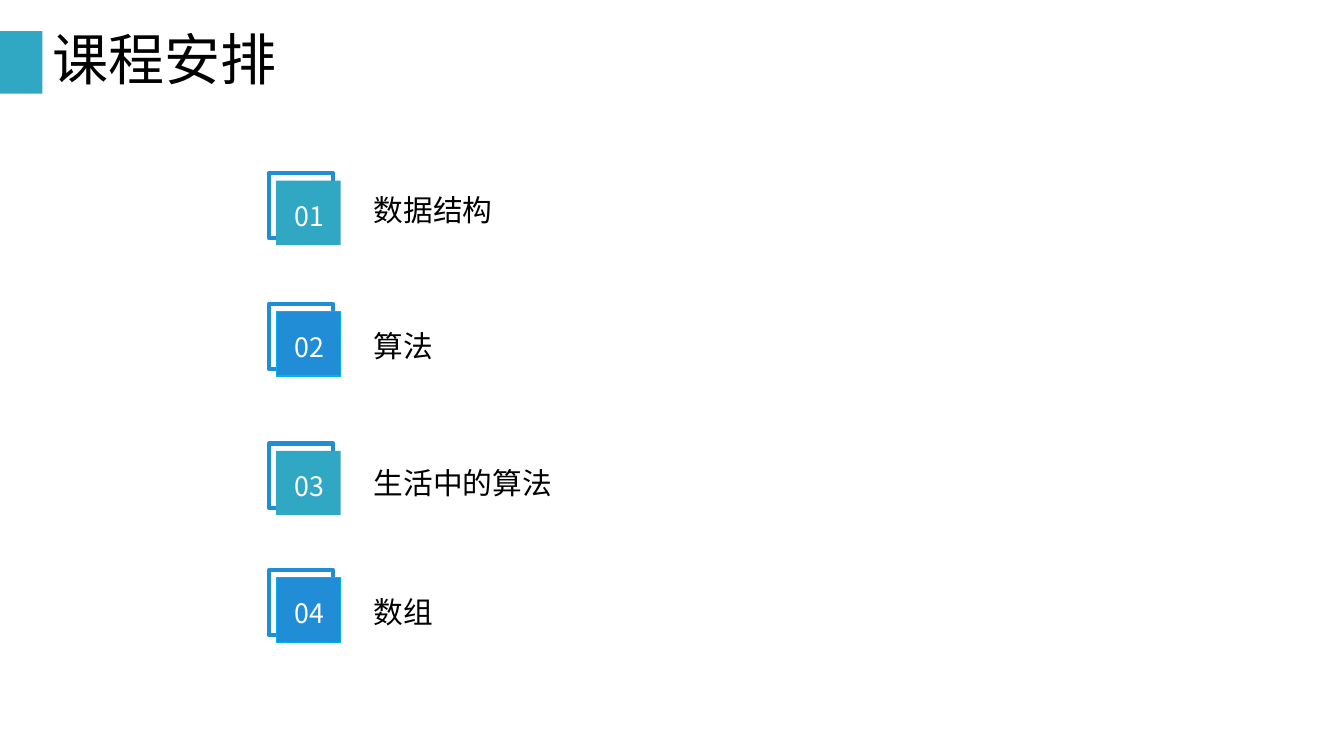
from lxml import etree
from pptx import Presentation
from pptx import util as u
from pptx.dml.color import RGBColor
from pptx.enum import shapes, text
from pptx.oxml.ns import qn

TEAL = RGBColor(0x30, 0xA8, 0xC4)
BLUE = RGBColor(0x21, 0x8D, 0xD6)
CYAN = RGBColor(0x00, 0xB0, 0xF0)
BLACK = RGBColor(0, 0, 0)
WHITE = RGBColor(255, 255, 255)
FONT = "Noto Sans CJK SC"
COLUMNS = 40
SLIDE_W, SLIDE_H = u.Inches(13.33), u.Inches(7.5)
CELL = SLIDE_W / COLUMNS
SQUARE = 1.92
SHIFT = 0.22
ICON_COL, NUMBER_COL, LABEL_COL = 8, 8.64, 11

AGENDA = [
    ("数据结构", 5.16, 0.42, 18.5, TEAL, None),
    ("算法", 9.06, 0.57, 17.46, BLUE, CYAN),
    ("生活中的算法", 13.2, 0.51, 15.3, TEAL, None),
    ("数组", 16.98, 0.57, 17.46, BLUE, CYAN),
]


def grid(*cells):
    return [u.Emu(round(c * CELL)) for c in cells]


def write(tf, content, size, color=BLACK, inset=None, spacing=None):
    tf.word_wrap = True
    tf.vertical_anchor = text.MSO_ANCHOR.MIDDLE
    if inset is not None:
        tf.margin_left = tf.margin_right = u.Inches(inset)
        tf.margin_top = tf.margin_bottom = u.Inches(inset)
    p = tf.paragraphs[0]
    p.alignment = text.PP_ALIGN.LEFT
    if spacing:
        p.line_spacing = spacing
    r = p.add_run()
    r.text = content
    r.font.size = u.Pt(size)
    r.font.name = FONT
    r.font.color.rgb = color
    ea = etree.SubElement(r.font._element, qn("a:ea"))
    ea.set("typeface", FONT)


def add_text(s, content, box, size, color=BLACK):
    tf = s.shapes.add_textbox(*grid(*box)).text_frame
    write(tf, content, size, color, inset=0.04)
    tf.auto_size = text.MSO_AUTO_SIZE.SHAPE_TO_FIT_TEXT


def add_rect(s, box, fill=None, line=None, width=1):
    sp = s.shapes.add_shape(shapes.MSO_SHAPE.RECTANGLE, *grid(*box))
    sp.shadow.inherit = False
    if fill is None:
        sp.fill.background()
    else:
        sp.fill.solid()
        sp.fill.fore_color.rgb = fill
    if line is None:
        sp.line.fill.background()
    else:
        sp.line.color.rgb = line
        sp.line.width = u.Pt(width)


def add_title(s, content):
    add_rect(s, (0, 0.93, 1.26, 1.86), TEAL)
    title = s.shapes.title
    title.left, title.top, title.width, title.height = grid(1.26, 0.9, 37.5, 1.92)
    write(title.text_frame, content, 40, spacing=0.9)
    title.text_frame.auto_size = text.MSO_AUTO_SIZE.NONE


def add_agenda_item(s, number, label, row, label_drop, label_width, fill, line):
    add_rect(s, (ICON_COL, row, SQUARE, SQUARE), line=BLUE, width=3)
    add_rect(s, (ICON_COL + SHIFT, row + SHIFT, SQUARE, SQUARE), fill, line)
    add_text(s, f"{number:02d}", (NUMBER_COL, row + 0.66, 1.29, 1.2), 19.1, WHITE)
    add_text(s, label, (LABEL_COL, row + label_drop, label_width, 1.32), 21.2)


def main():
    prs = Presentation()
    prs.slide_width, prs.slide_height = SLIDE_W, SLIDE_H
    s = prs.slides.add_slide(prs.slide_layouts[5])
    add_title(s, "课程安排")
    for number, item in enumerate(AGENDA, 1):
        add_agenda_item(s, number, *item)
    prs.save("out.pptx")


main()
